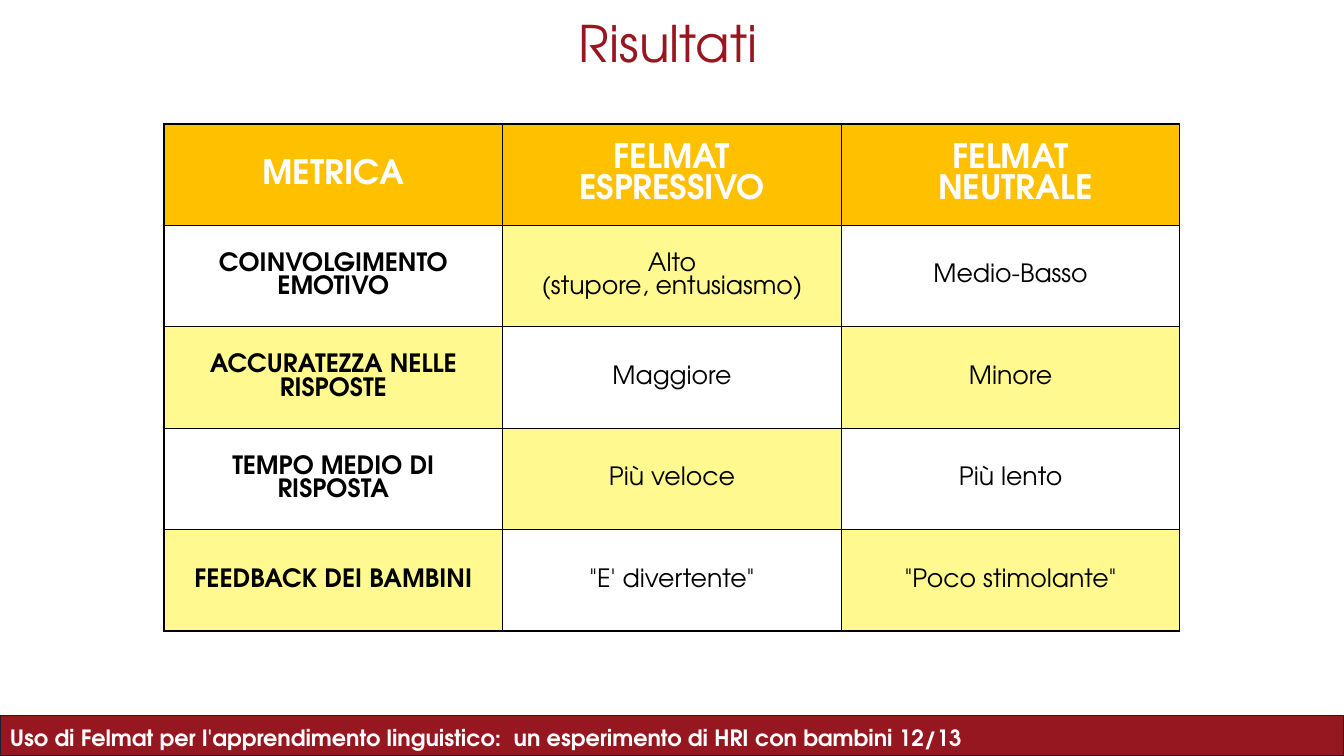
from typing import NamedTuple

from lxml.etree import SubElement
from pptx import Presentation
from pptx.dml.color import RGBColor
from pptx.enum.shapes import MSO_SHAPE as Shape
from pptx.enum.text import MSO_ANCHOR as Anchor, PP_ALIGN as Align
from pptx.oxml import parse_xml
from pptx.oxml.ns import nsdecls, qn
from pptx.util import Emu, Pt

FONT = "TeX Gyre Adventor"
WHITE = RGBColor(0xFF, 0xFF, 0xFF)
BLACK = RGBColor(0x00, 0x00, 0x00)
RED = RGBColor(0x97, 0x17, 0x20)
NAVY = RGBColor(0x16, 0x22, 0x30)
GOLD = RGBColor(0xFF, 0xC0, 0x00)
YELLOW = RGBColor(0xFF, 0xF9, 0x8F)

WIDTH, HEIGHT = 1344, 756
SCALE = 914400 / 100.8


class Row(NamedTuple):
    metric: str
    lively: str
    neutral: str


HEAD = Row("METRICA", "FELMAT\nESPRESSIVO", "FELMAT\n NEUTRALE")
ROWS = [
    Row("COINVOLGIMENTO EMOTIVO", "Alto\n(stupore, entusiasmo)", "Medio-Basso"),
    Row("ACCURATEZZA NELLE RISPOSTE", "Maggiore", "Minore"),
    Row("TEMPO MEDIO DI RISPOSTA", "Più veloce", "Più lento"),
    Row("FEEDBACK DEI BAMBINI", "\"E' divertente\"", "\"Poco stimolante\""),
]


def px(count: int) -> Emu:
    return Emu(round(count * SCALE))


def write(frame, text: str, *, size: int, color: RGBColor,
          bold: bool = False, align=Align.LEFT) -> None:
    """Fill a text frame, one paragraph for each line of text."""
    frame.word_wrap = True
    frame.text = text
    for para in frame.paragraphs:
        para.alignment = align
        for run in para.runs:
            font = run.font
            font.name, font.size, font.bold = FONT, Pt(size), bold
            font.color.rgb = color


def add_text(slide, left: int, top: int, width: int, height: int,
             text: str, **style) -> None:
    box = slide.shapes.add_textbox(px(left), px(top), px(width), px(height))
    write(box.text_frame, text, **style)


def add_bar(slide) -> None:
    bar = slide.shapes.add_shape(
        Shape.RECTANGLE, 0, px(716), px(WIDTH), px(HEIGHT - 716))
    bar.shadow.inherit = False
    bar.fill.solid()
    bar.fill.fore_color.rgb = RED
    bar.line.color.rgb = NAVY
    bar.line.width = Pt(0.75)


def add_edges(cell) -> None:
    """Draw a thin black line on all four sides of a cell."""
    props = cell._tc.get_or_add_tcPr()
    for place, side in enumerate(("lnL", "lnR", "lnT", "lnB")):
        edge = parse_xml(f'<a:{side} {nsdecls("a")} w="{Pt(1)}"/>')
        fill = SubElement(edge, qn("a:solidFill"))
        SubElement(fill, qn("a:srgbClr"), val=str(BLACK))
        props.insert(place, edge)


def add_grid(slide) -> None:
    rows = [HEAD, *ROWS]
    grid = slide.shapes.add_table(
        len(rows), len(HEAD), px(164), px(124), px(1016), px(507)).table
    for r, row in enumerate(rows):
        for c, text in enumerate(row):
            cell = grid.cell(r, c)
            head = r == 0
            tint = YELLOW if (r + c) % 2 == 0 else WHITE
            cell.vertical_anchor = Anchor.MIDDLE
            cell.fill.solid()
            cell.fill.fore_color.rgb = GOLD if head else tint
            add_edges(cell)
            write(cell.text_frame, text, size=24 if head else 18,
                  color=WHITE if head else BLACK,
                  bold=head or c == 0, align=Align.CENTER)


def main() -> None:
    deck = Presentation()
    deck.slide_width, deck.slide_height = px(WIDTH), px(HEIGHT)
    slide = deck.slides.add_slide(deck.slide_layouts[6])
    add_bar(slide)
    add_text(slide, 0, 719, 996, 94,
             "Uso di Felmat per l'apprendimento linguistico:  "
             "un esperimento di HRI con bambini 12/13",
             size=16, color=WHITE, bold=True)
    add_text(slide, 569, 7, 207, 72, "Risultati", size=36, color=RED)
    add_grid(slide)
    deck.save("out.pptx")


if __name__ == "__main__":
    main()
